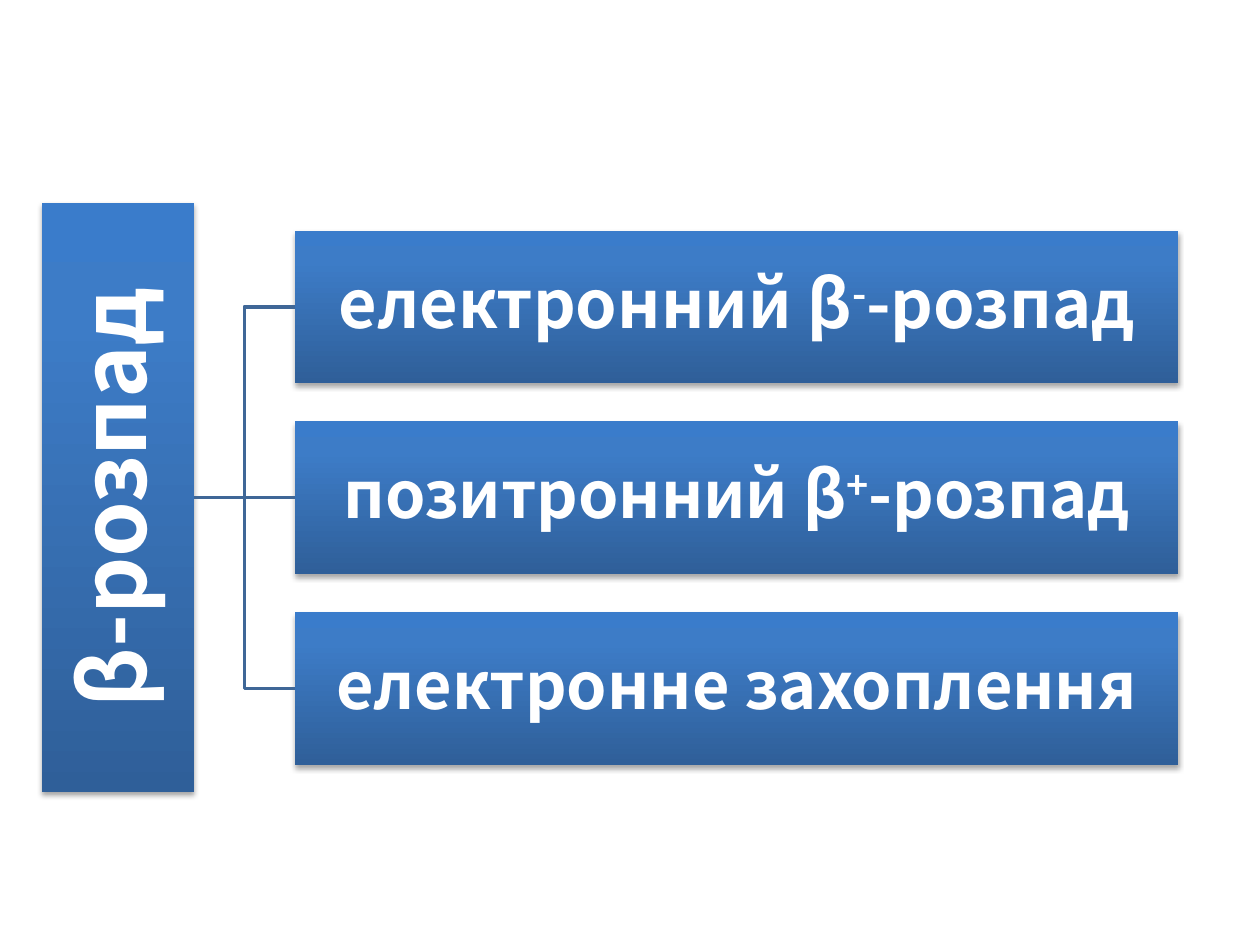
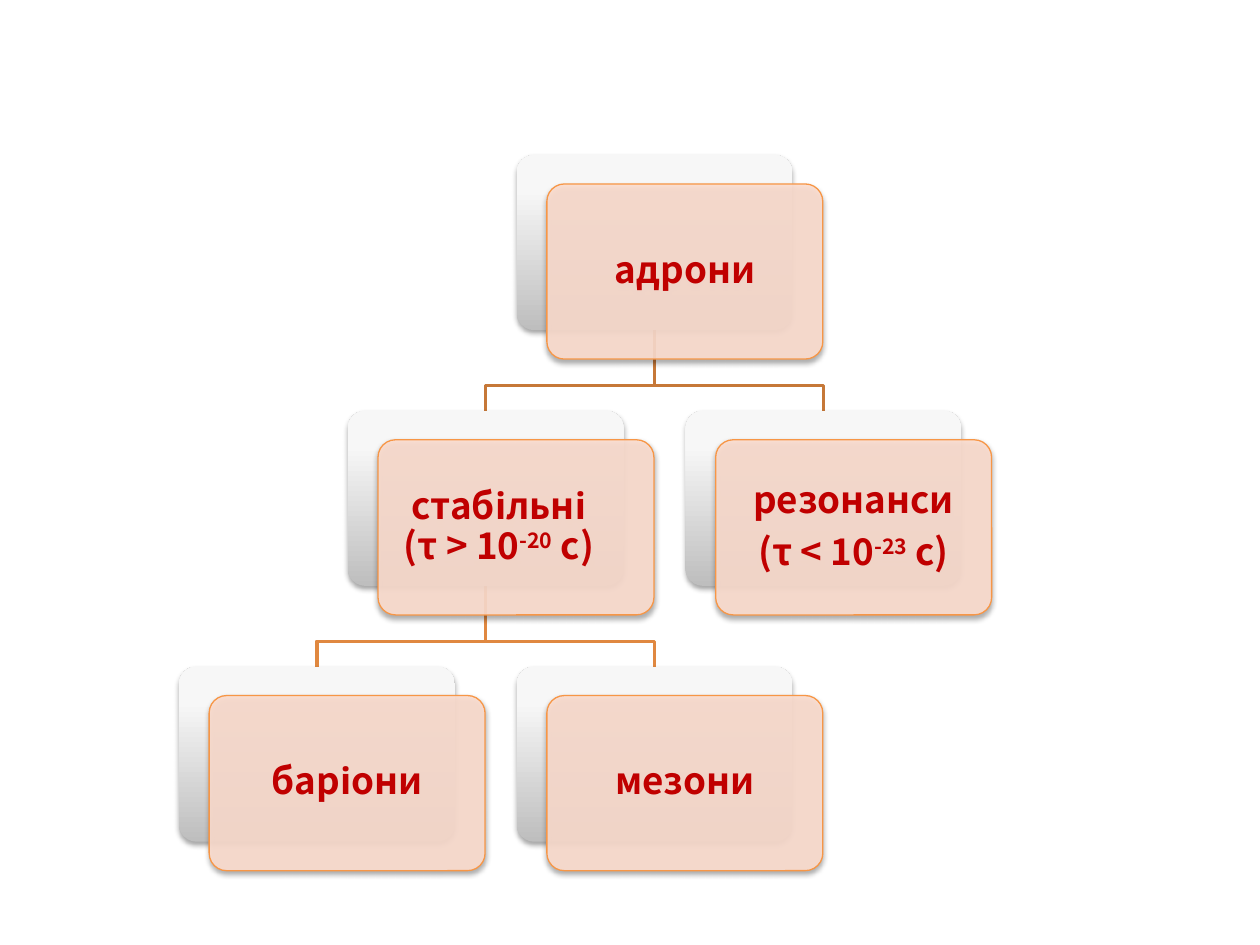
from lxml import etree
from pptx import Presentation
from pptx.dml.color import RGBColor
from pptx.enum.shapes import MSO_CONNECTOR as CONN, MSO_SHAPE as SHAPE
from pptx.enum.text import MSO_ANCHOR as ANCHOR, PP_ALIGN as ALIGN
from pptx.oxml import parse_xml
from pptx.oxml.ns import qn
from pptx.util import Inches, Pt

FONT = "Noto Sans CJK KR"
WHITE = RGBColor(0xFF, 0xFF, 0xFF)
RED = RGBColor(0xC0, 0x00, 0x00)
PEACH = RGBColor(0xFC, 0xDD, 0xCF)
ORANGE = RGBColor(0xF7, 0x96, 0x46)
LINE_BLUE = RGBColor(0x3F, 0x67, 0x97)
LINE_BROWN = RGBColor(0xC6, 0x78, 0x38)
LINE_ORANGE = RGBColor(0xE0, 0x88, 0x40)
# Gradient stops from the bottom up
BLUES = (RGBColor(0x2F, 0x5F, 0x99), RGBColor(0x3D, 0x7C, 0xC7), RGBColor(0x3A, 0x7C, 0xCB))
GREYS = (RGBColor(0xBE, 0xBE, 0xBE), RGBColor(0xF7, 0xF7, 0xF7), RGBColor(0xF8, 0xF8, 0xF8))
STOPS = (0, 80000, 100000)
NS = 'xmlns:a="http://schemas.openxmlformats.org/drawingml/2006/main"'


def write_text(sp, lines, size, color, inset, gap=0, shift=0, vertical=False):
    """Fill a shape with centred bold lines; text between ^ marks is raised."""
    tf = sp.text_frame
    tf.word_wrap = True
    tf.vertical_anchor = ANCHOR.MIDDLE
    tf.margin_left = tf.margin_right = tf.margin_top = tf.margin_bottom = Inches(inset)
    if vertical:
        tf._txBody.bodyPr.set("vert", "vert270")
    for i, line in enumerate(lines):
        p = tf.paragraphs[0] if i == 0 else tf.add_paragraph()
        p.alignment = ALIGN.CENTER
        p.line_spacing = 0.9
        p.space_before = Pt(0)
        p.space_after = Pt(gap if i < len(lines) - 1 else 0)
        if shift and i == 0:
            p._p.get_or_add_pPr().set("marR", str(Inches(shift)))
        for j, part in enumerate(line.split("^")):
            r = p.add_run()
            r.text = part
            f = r.font
            f.name, f.size, f.bold = FONT, Pt(size), True
            f.color.rgb = color
            if j % 2:
                r._r.get_or_add_rPr().set("baseline", "30000")


class Diagram:
    """Current slide and the style of its boxes and links."""

    def __init__(self, prs):
        self.prs = prs

    def new_slide(self):
        self.s = self.prs.slides.add_slide(self.prs.slide_layouts[6])

    def box(self, x, y, w, h, kind=SHAPE.RECTANGLE, grad=None, fill=None, line=None):
        sp = self.s.shapes.add_shape(kind, Inches(x), Inches(y), Inches(w), Inches(h))
        if kind == SHAPE.ROUNDED_RECTANGLE:
            sp.adjustments[0] = 0.1
        if grad:
            self._gradient(sp, grad)
        else:
            sp.fill.solid()
            sp.fill.fore_color.rgb = fill
            clr = sp._element.spPr.find(qn("a:solidFill"))[0]
            etree.SubElement(clr, qn("a:alpha"), val="90000")
        if line:
            sp.line.color.rgb = line
            sp.line.width = Pt(0.75)
        else:
            sp.line.fill.background()
        self._shadow(sp)
        return sp

    def _gradient(self, sp, colors):
        sp.fill.background()
        stops = "".join(f'<a:gs pos="{pos}"><a:srgbClr val="{c}"/></a:gs>'
                        for pos, c in zip(STOPS, colors))
        spPr = sp._element.spPr
        spPr.replace(spPr.find(qn("a:noFill")), parse_xml(
            f'<a:gradFill {NS} rotWithShape="1"><a:gsLst>{stops}</a:gsLst>'
            '<a:lin ang="16200000" scaled="0"/></a:gradFill>'))

    def _shadow(self, sp):
        sp.shadow.inherit = False
        sp._element.spPr.find(qn("a:effectLst")).append(parse_xml(
            f'<a:outerShdw {NS} blurRad="{Pt(3.1)}" dist="{Pt(1.8)}" dir="5400000" '
            'rotWithShape="0"><a:srgbClr val="000000"><a:alpha val="35000"/>'
            '</a:srgbClr></a:outerShdw>'))

    def elbow(self, points, color):
        pts = [(Inches(x), Inches(y)) for x, y in points]
        fb = self.s.shapes.build_freeform(*pts[0])
        fb.add_line_segments(pts[1:], close=False)
        sp = fb.convert_to_shape()
        sp.fill.background()
        sp.line.color.rgb = color
        sp.line.width = Pt(2)
        sp.shadow.inherit = False

    def link(self, left, right, color):
        """Straight line from the right side of one box to the left of another."""
        c = self.s.shapes.add_connector(CONN.STRAIGHT, 0, 0, 0, 0)
        c.begin_connect(left, 3)
        c.end_connect(right, 1)
        c.line.color.rgb = color
        c.line.width = Pt(2)
        etree.SubElement(c._element.spPr, qn("a:effectLst"))


def beta_decay(d):
    d.new_slide()
    bar_x, bar_y, bar_h, thick = 0.33, 1.61, 4.68, 1.21
    kind_x, kind_w, step = 2.34, 7.01, 1.515
    bar_right, mid_y = bar_x + thick, bar_y + bar_h / 2
    mid_x = (bar_right + kind_x) / 2

    # Side bar
    bar = d.box(bar_x, bar_y, thick, bar_h, grad=BLUES)
    write_text(bar, ["β-розпад"], 51, WHITE, 0.04, vertical=True)

    # Kinds of decay, each linked to the bar
    kinds = [("електронний β^-^-розпад", 38), ("позитронний β^+^-розпад", 37),
             ("електронне захоплення", 37)]
    for row, (text, size) in enumerate(kinds, start=-1):
        y = mid_y + row * step
        sp = d.box(kind_x, y - thick / 2, kind_w, thick, grad=BLUES)
        write_text(sp, [text], size, WHITE, 0.03)
        if row == 0:
            d.link(bar, sp, LINE_BLUE)
        else:
            d.elbow([(bar_right, mid_y), (mid_x, mid_y), (mid_x, y), (kind_x, y)], LINE_BLUE)


def hadrons(d):
    d.new_slide()
    w, h, offset = 2.19, 1.39, (0.24, 0.23)

    def corner(col, row):
        return 1.42 + 1.34 * col, 1.23 + 2.03 * row

    # Tree links, behind the cards: parent, child, colour
    links = [((2, 0), (3, 1), LINE_BROWN), ((1, 1), (2, 2), LINE_ORANGE),
             ((1, 1), (0, 2), LINE_ORANGE), ((2, 0), (1, 1), LINE_BROWN)]
    for parent, child, color in links:
        (px, py), (cx, cy) = corner(*parent), corner(*child)
        px, cx, turn = px + w / 2, cx + w / 2, cy - 0.2
        d.elbow([(px, py + h), (px, turn), (cx, turn), (cx, cy)], color)

    # Cards: place in the tree, lines, text options
    cards = [((2, 0), ["адрони"], {}),
             ((1, 1), ["стабільні", "(τ > 10^-20^ c)"], {"shift": 0.27}),
             ((0, 2), ["баріони"], {}),
             ((2, 2), ["мезони"], {}),
             ((3, 1), ["резонанси", "(τ < 10^-23^ c)"], {"gap": 7})]
    for place, lines, options in cards:
        x, y = corner(*place)
        d.box(x, y, w, h, SHAPE.ROUNDED_RECTANGLE, grad=GREYS)
        front = d.box(x + offset[0], y + offset[1], w, h, SHAPE.ROUNDED_RECTANGLE,
                      fill=PEACH, line=ORANGE)
        write_text(front, lines, 21, RED, 0.1, **options)


def main():
    prs = Presentation()
    prs.slide_width, prs.slide_height = Inches(10), Inches(7.5)
    d = Diagram(prs)
    beta_decay(d)
    hadrons(d)
    prs.save("out.pptx")


if __name__ == "__main__":
    main()
